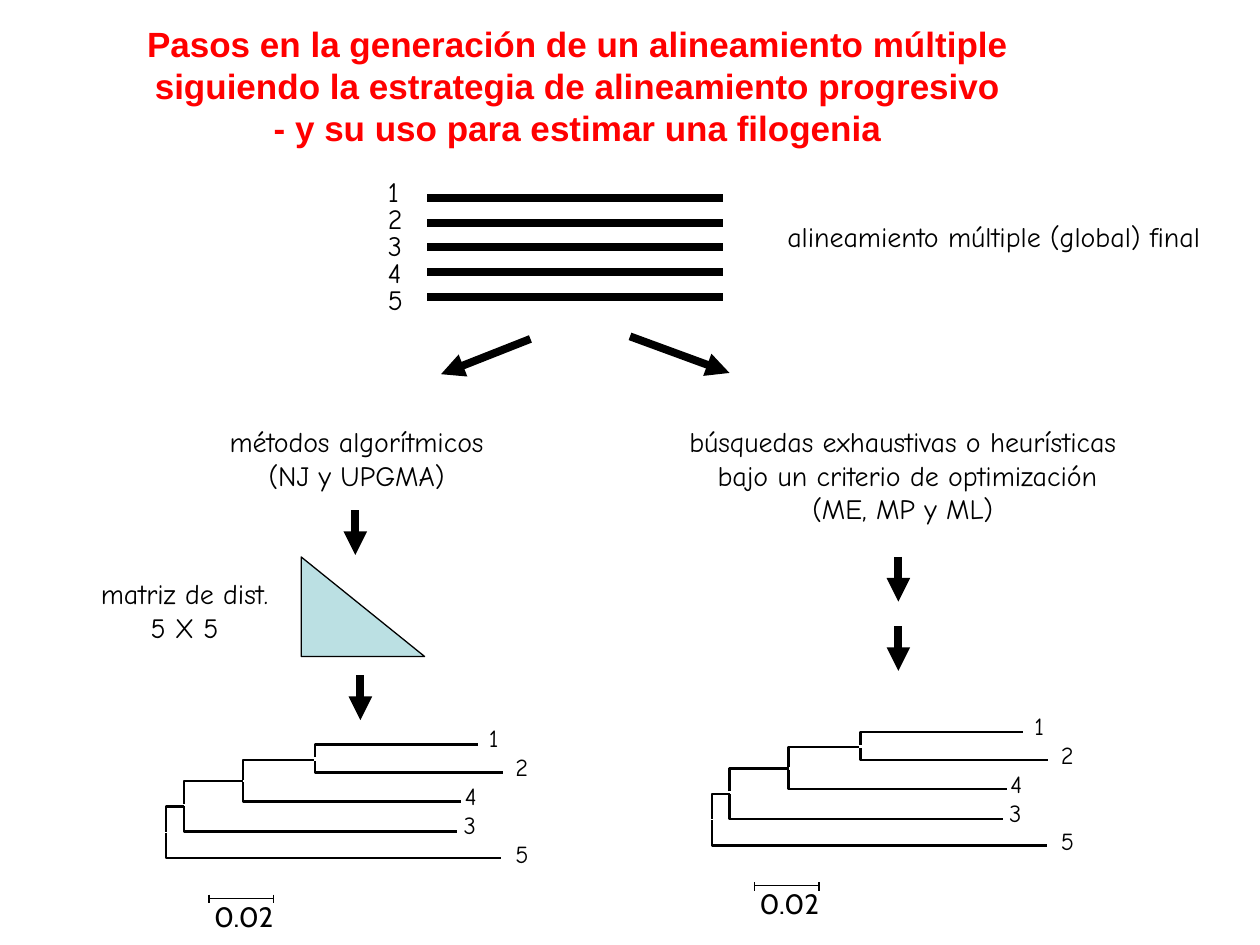
"""Build a slide on progressive multiple alignment and its use to estimate a phylogeny."""
from lxml.etree import SubElement
from pptx import Presentation
from pptx.dml.color import RGBColor
from pptx.enum.shapes import MSO_CONNECTOR, MSO_SHAPE
from pptx.enum.text import MSO_AUTO_SIZE, PP_ALIGN
from pptx.oxml.ns import qn
from pptx.util import Inches, Pt

BLACK = RGBColor(0x00, 0x00, 0x00)
RED = RGBColor(0xFF, 0x00, 0x00)
PALE_TEAL = RGBColor(0xBB, 0xE0, 0xE3)
HAND_FONT = "Comic Neue"

presentation = Presentation()
presentation.slide_width = Inches(10)
presentation.slide_height = Inches(7.5)
COLUMN = presentation.slide_width / 100
ROW = presentation.slide_height / 75
slide = presentation.slides.add_slide(presentation.slide_layouts[6])


def add_text(shapes, text, left, top, width, height, size=16, font=HAND_FONT,
             color=BLACK, bold=False, align=PP_ALIGN.LEFT, spacing=None, insets=(1, 0.5, 1, 0.5)):
    box = shapes.add_textbox(round(left * COLUMN), round(top * ROW),
                             round(width * COLUMN), round(height * ROW))
    frame = box.text_frame
    frame.text = text
    frame.word_wrap = False
    frame.auto_size = MSO_AUTO_SIZE.SHAPE_TO_FIT_TEXT
    frame.margin_left, frame.margin_right = (round(inset * COLUMN) for inset in insets[::2])
    frame.margin_top, frame.margin_bottom = (round(inset * ROW) for inset in insets[1::2])
    for paragraph in frame.paragraphs:
        paragraph.alignment = align
        paragraph.line_spacing = spacing
        for run in paragraph.runs:
            run.font.name = font
            run.font.size = Pt(size)
            run.font.bold = bold
            run.font.color.rgb = color


def add_line(shapes, start_x, start_y, end_x, end_y, width=4.5, arrow=False):
    connector = shapes.add_connector(
        MSO_CONNECTOR.STRAIGHT, round(start_x * COLUMN), round(start_y * ROW),
        round(end_x * COLUMN), round(end_y * ROW))
    connector.line.color.rgb = BLACK
    connector.line.width = Pt(width)
    if arrow:
        SubElement(connector.line._get_or_add_ln(), qn("a:tailEnd"), type="triangle")
    SubElement(connector._element.spPr, qn("a:effectLst"))


add_text(slide.shapes,
         "Pasos en la generación de un alineamiento múltiple \n"
         "siguiendo la estrategia de alineamiento progresivo\n"
         "- y su uso para estimar una filogenia",
         10.3, 1.3, 71.1, 11, size=20, font="Arial", color=RED, bold=True, align=PP_ALIGN.CENTER)

alignment = slide.shapes.add_group_shape().shapes
for sequence in range(5):
    bar_y = 15.7 + 1.97 * sequence
    add_line(alignment, 33.9, bar_y, 57.4, bar_y)
add_text(alignment, "1\n2\n3\n4\n5", 29.8, 13.9, 3.2, 11.7, spacing=0.8)

for text, left, top, width, height, align in [
    ("alineamiento múltiple (global) final", 61.5, 16.9, 34.8, 3.7, PP_ALIGN.LEFT),
    ("métodos algorítmicos\n(NJ y UPGMA)", 17.2, 33.2, 22.2, 6.4, PP_ALIGN.CENTER),
    ("búsquedas exhaustivas o heurísticas\n bajo un criterio de optimización\n(ME, MP y ML)",
     53.7, 33.2, 35.9, 9, PP_ALIGN.CENTER),
    ("matriz de dist.\n5 X 5", 7, 45.3, 15.3, 6.4, PP_ALIGN.CENTER),
]:
    add_text(slide.shapes, text, left, top, width, height, align=align)

add_line(slide.shapes, 42.1, 26.9, 35, 29.7, arrow=True)
add_line(slide.shapes, 50, 26.7, 57.9, 29.6, arrow=True)
for arrow_x, arrow_y in [(28.2, 40.5), (28.6, 53.6), (71.3, 44.2), (71.3, 49.7)]:
    add_line(slide.shapes, arrow_x, arrow_y, arrow_x, arrow_y + 3.55, arrow=True)

matrix = slide.shapes.add_shape(
    MSO_SHAPE.RIGHT_TRIANGLE, round(23.9 * COLUMN), round(44.2 * ROW),
    round(9.8 * COLUMN), round(7.9 * ROW))
matrix.shadow.inherit = False
matrix.fill.solid()
matrix.fill.fore_color.rgb = PALE_TEAL
matrix.line.color.rgb = BLACK
matrix.line.width = Pt(0.75)

leaves = [("1", 38.3), ("2", 40.4), ("4", 36.4), ("3", 36.3), ("5", 40.4)]
branches = [
    (25, 60.1, 59.1, 37.9, 1.5), (25, 60.4, 61.3, 39.9, 1.5),
    (19.3, 61.9, 60.3, 24.9, 1.39), (19.3, 62.1, 63.6, 36.6, 1.39),
    (14.6, 63.8, 62, 19.3, 1.39), (14.6, 64, 66, 36.3, 1.39),
    (13.2, 66, 64, 14.6, 1.39), (13.2, 66.1, 68.1, 39.8, 1.39),
]
for shift_x, shift_y in [(0, 0), (43.3, -1)]:
    tree = slide.shapes.add_group_shape().shapes
    for index, (leaf, left) in enumerate(leaves):
        add_text(tree, leaf, left + shift_x, 57.4 + 2.3 * index + shift_y, 1.6, 2.3,
                 size=14, insets=(0.5, 0, 0, 0))
    for node_x, node_y, branch_y, tip_x, width in branches:
        start, corner, tip = [
            (round((x + shift_x) * COLUMN), round((y + shift_y) * ROW))
            for x, y in [(node_x, node_y), (node_x, branch_y), (tip_x, branch_y)]]
        builder = tree.build_freeform(*start)
        builder.add_line_segments([corner, tip], close=False)
        branch = builder.convert_to_shape()
        branch.shadow.inherit = False
        branch.fill.background()
        branch.line.color.rgb = BLACK
        branch.line.width = Pt(width)
    scale_left, scale_right, scale_y = 16.6 + shift_x, 21.7 + shift_x, 71.3 + shift_y
    add_line(tree, scale_left, scale_y, scale_right, scale_y, width=0.75)
    for tick_x in (scale_left, scale_right):
        add_line(tree, tick_x, scale_y - 0.3, tick_x, scale_y + 0.4, width=0.75)
    add_text(tree, "0.02", 17 + shift_x, 71.4 + shift_y, 5, 2.7, font="Cabin", insets=(0, 0, 0, 0))

presentation.save("out.pptx")
